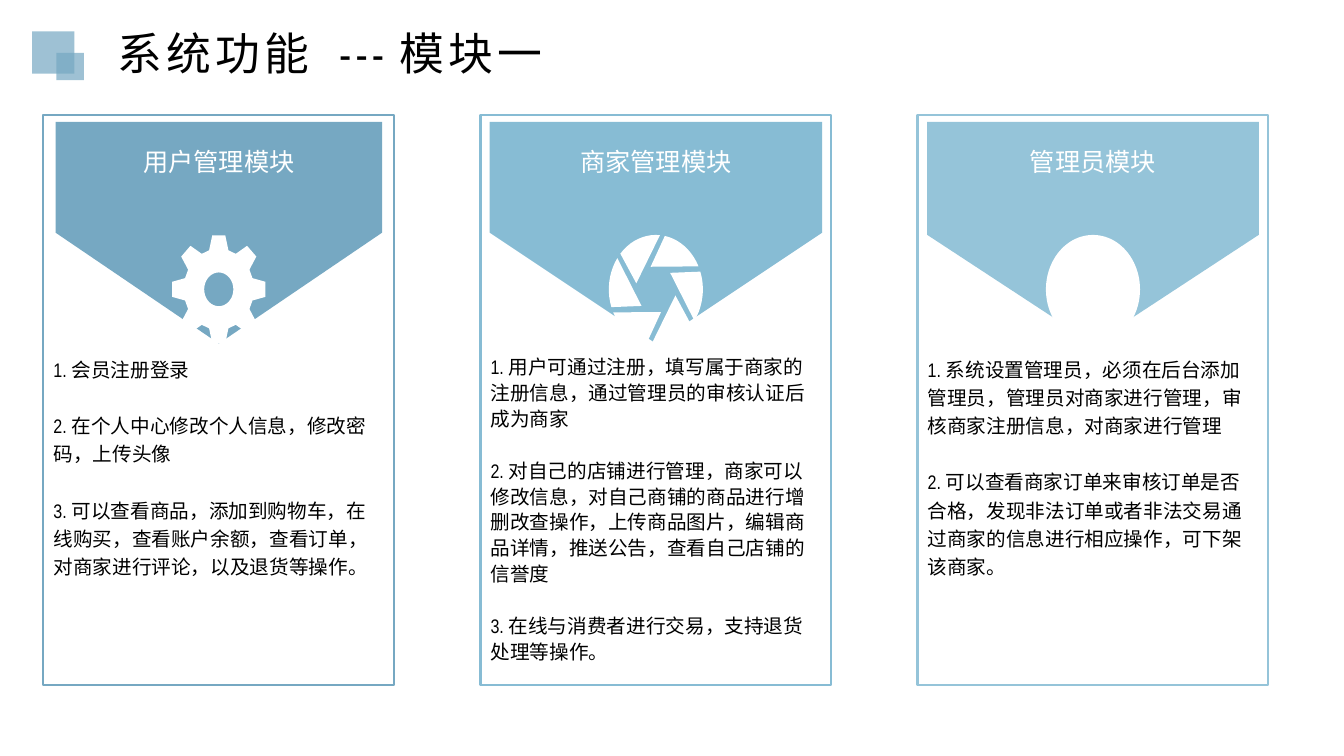
from math import cos, radians, sin

from lxml.etree import SubElement
from pptx import Presentation
from pptx.dml.color import RGBColor
from pptx.enum.shapes import MSO_SHAPE as Preset
from pptx.enum.text import MSO_ANCHOR as Anchor, MSO_AUTO_SIZE as AutoSize, PP_ALIGN as Align
from pptx.oxml.ns import qn
from pptx.util import Pt

FONT = "Arial Narrow"
COLOURS = {"user": "76A8C2", "merchant": "87BCD4", "admin": "95C4D9",
           "ink": "000000", "paper": "FFFFFF"}
CARD_LEFT, CARD_TOP, CARD_STEP, CARD_WIDTH, CARD_HEIGHT = 31, 82, 312.2, 250.6, 407.5
BADGE_HEIGHT, ICON_WIDTH, ICON_HEIGHT = 158.4, 67.2, 77.8
LINE_PITCH = 16.8


def rgb(role):
    """Return the colour that belongs to a role."""
    return RGBColor.from_string(COLOURS[role])


def paint(shape, role):
    """Give a shape a flat fill with neither line nor shadow."""
    shape.shadow.inherit = False
    shape.fill.solid()
    shape.fill.fore_color.rgb = rgb(role)
    shape.line.fill.background()


def write(paragraph, words, size, role):
    """Add one formatted run and return it."""
    run = paragraph.add_run()
    run.text = words
    run.font.name, run.font.size, run.font.bold = FONT, Pt(size), False
    run.font.color.rgb = rgb(role)
    return run


def set_frame(frame, anchor, insets, wrap=True):
    """Fix the anchor, the insets and the wrapping of a text frame."""
    frame.auto_size, frame.word_wrap, frame.vertical_anchor = AutoSize.NONE, wrap, anchor
    (frame.margin_left, frame.margin_top,
     frame.margin_right, frame.margin_bottom) = map(Pt, insets)


def place(shape, left, top, width, height):
    """Move a shape to a box given in points."""
    shape.left, shape.top, shape.width, shape.height = map(Pt, (left, top, width, height))


def add_heading(slide, left, top, words):
    """Place the overlapping squares and the title beside them."""
    for offset_x, offset_y, side in ((0, 0, 30.2), (17.3, 15.3, 19.6)):
        square = slide.shapes.add_shape(Preset.RECTANGLE, Pt(left + offset_x),
                                        Pt(top + offset_y), Pt(side), Pt(side))
        paint(square, "user")
        fill_colour = square.fill._xPr.find(qn("a:solidFill"))[0]
        SubElement(fill_colour, qn("a:alpha")).set("val", "70000")
    heading = slide.shapes.title
    place(heading, left + 54, top - 8, 382.3, 46)
    set_frame(heading.text_frame, Anchor.MIDDLE, (7.2, 3.6, 7.2, 3.6))
    line = heading.text_frame.paragraphs[0]
    line.alignment = Align.LEFT
    write(line, words, 32, "ink").font._element.set("spc", "300")


def polar(radius, degrees):
    """Return a point on a circle."""
    return radius * cos(radians(degrees)), radius * sin(radians(degrees))


def add_outline(slide, left, top, contours):
    """Draw contours of the unit circle, stretched to the icon box."""
    def fit(point):
        return (Pt(left + ICON_WIDTH * (1 + point[0]) / 2),
                Pt(top + ICON_HEIGHT * (1 + point[1]) / 2))

    first, *others = [[fit(point) for point in contour] for contour in contours]
    outline = slide.shapes.build_freeform(*first[0])
    outline.add_line_segments(first[1:])
    for contour in others:
        outline.move_to(*contour[0])
        outline.add_line_segments(contour[1:])
    paint(outline.convert_to_shape(), "paper")


def add_gear(slide, left, top):
    """Draw a gear with eight teeth and a round hole."""
    tooth = ((0.745, -16), (1, -8), (1, 8), (0.745, 16))
    rim = [polar(radius, 45 * turn + angle) for turn in range(8) for radius, angle in tooth]
    hole = [polar(0.31, angle) for angle in range(0, 360, 10)]
    add_outline(slide, left, top, (rim, hole))


def add_aperture(slide, left, top):
    """Draw six blades, each with one inner corner and an outer arc."""
    blades = [[polar(0.43, turn)] + [polar(1, turn + 26 + 5.4 * step) for step in range(11)]
              for turn in range(15, 360, 60)]
    add_outline(slide, left, top, blades)


def add_disc(slide, left, top):
    """Draw a plain disc."""
    disc = slide.shapes.add_shape(Preset.OVAL, Pt(left), Pt(top),
                                  Pt(ICON_WIDTH), Pt(ICON_HEIGHT))
    paint(disc, "paper")


def add_badge(slide, centre, top, width, point, role, module):
    """Place the downward pentagon that carries the module name."""
    middle = top + BADGE_HEIGHT / 2
    badge = slide.shapes.add_shape(Preset.PENTAGON, Pt(centre - BADGE_HEIGHT / 2),
                                   Pt(middle - width / 2), Pt(BADGE_HEIGHT), Pt(width))
    badge.rotation = 90
    badge.adjustments[0] = point
    paint(badge, role)
    set_frame(badge.text_frame, Anchor.TOP, (17.3, 3.6, 7.2, 3.6), wrap=False)
    badge.text_frame._txBody.bodyPr.set("vert", "vert270")
    name = badge.text_frame.paragraphs[0]
    name.alignment = Align.CENTER
    write(name, module, 18, "paper")


def add_card(slide, features, left, top, card):
    """Place a framed feature list with its badge and icon."""
    role, module, badge_width, badge_point, spacing, add_icon, items = card
    place(features, left, top, CARD_WIDTH, CARD_HEIGHT)
    features.line.color.rgb, features.line.width = rgb(role), Pt(1.5)
    set_frame(features.text_frame, Anchor.TOP, (7.2, 170, 7.2, 3.6))
    for index, item in enumerate(items):
        frame = features.text_frame
        feature = frame.add_paragraph() if index else frame.paragraphs[0]
        properties = feature._p.get_or_add_pPr()
        properties.set("marL", "0")
        properties.set("indent", "0")
        SubElement(properties, qn("a:buNone"))
        feature.alignment, feature.line_spacing = Align.LEFT, spacing
        feature.space_before = Pt(LINE_PITCH * spacing if index else 0)
        feature.space_after = Pt(0)
        write(feature, item, 14, "ink")
    centre = left + CARD_WIDTH / 2
    add_badge(slide, centre, top + 5, badge_width, badge_point, role, module)
    add_icon(slide, centre - ICON_WIDTH / 2, top + 85.8)


CARDS = (
    ("user", "用户管理模块", 233.3, 0.5, 1.2, add_gear, (
        "1.会员注册登录",
        "2.在个人中心修改个人信息，修改密码，上传头像",
        "3.可以查看商品，添加到购物车，在线购买，查看账户余额，查看订单，"
        "对商家进行评论，以及退货等操作。")),
    ("merchant", "商家管理模块", 237.6, 0.5, 1.1, add_aperture, (
        "1.用户可通过注册，填写属于商家的注册信息，通过管理员的审核认证后成为商家",
        "2.对自己的店铺进行管理，商家可以修改信息，对自己商铺的商品进行增删改查操作，"
        "上传商品图片，编辑商品详情，推送公告，查看自己店铺的信誉度",
        "3.在线与消费者进行交易，支持退货处理等操作。")),
    ("admin", "管理员模块", 236.9, 0.49, 1.2, add_disc, (
        "1.系统设置管理员，必须在后台添加管理员，管理员对商家进行管理，"
        "审核商家注册信息，对商家进行管理",
        "2.可以查看商家订单来审核订单是否合格，发现非法订单或者非法交易"
        "通过商家的信息进行相应操作，可下架该商家。")),
)


def main():
    """Build the slide and save it."""
    deck = Presentation()
    deck.slide_width, deck.slide_height = Pt(960), Pt(540)
    slide = deck.slides.add_slide(deck.slide_layouts.get_by_name("Comparison"))
    add_heading(slide, 23, 22.4, "系统功能 ---模块一")
    _, *bodies = slide.placeholders
    for index, (features, card) in enumerate(zip(bodies, CARDS)):
        add_card(slide, features, CARD_LEFT + CARD_STEP * index, CARD_TOP, card)
    for spare in bodies[len(CARDS):]:
        spare.element.getparent().remove(spare.element)
    deck.save("out.pptx")


if __name__ == "__main__":
    main()
